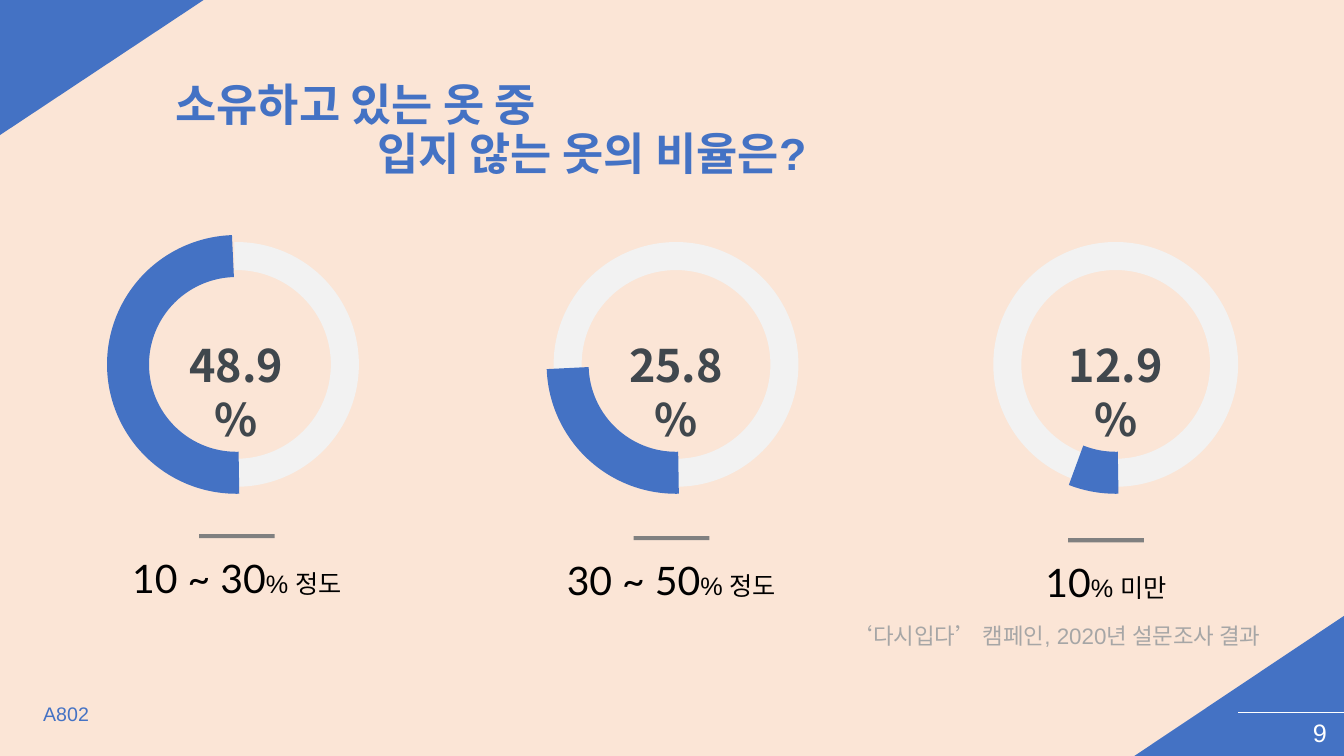
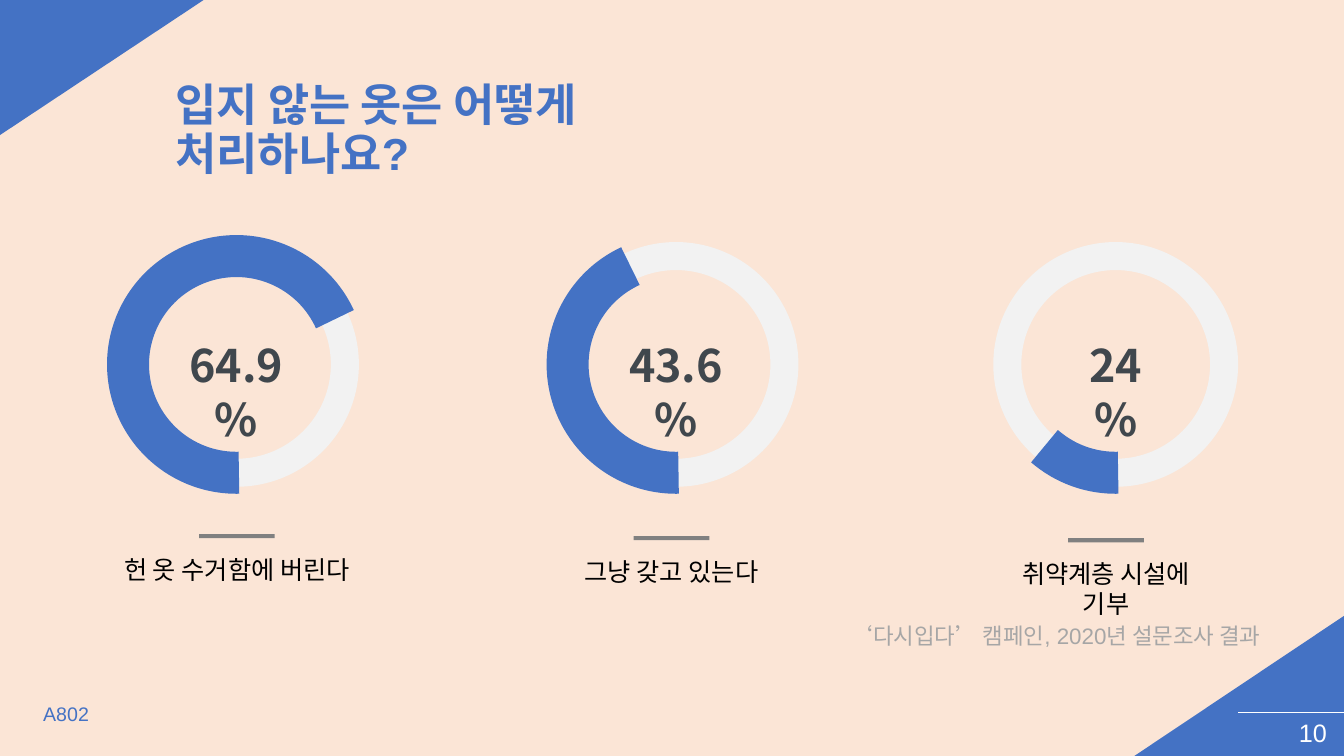
from lxml.etree import SubElement
from pptx import Presentation
from pptx.dml.color import RGBColor
from pptx.enum.shapes import MSO_CONNECTOR, MSO_SHAPE
from pptx.enum.text import MSO_ANCHOR, MSO_AUTO_SIZE, PP_ALIGN
from pptx.oxml.ns import qn
from pptx.util import Inches, Pt

WIDE, HIGH = 13.33, 7.5
BLUE, PEACH, TRACK = "4472C4", "FBE5D6", "F2F2F2"
DARK, GREY, PALE = "40474D", "808080", "A6A6A6"
BLACK, WHITE = "000000", "FFFFFF"
SANS, LATIN, KOREAN = "Arial", "Lato", "Noto Sans CJK KR"

SOURCE = "‘다시입다’ 캠페인, 2020년 설문조사 결과"
RING = 2.15
TOP = 2.54


def rgb(code):
    return RGBColor.from_string(code)


def write(frame, lines, size=18, font=SANS, color=BLACK, bold=False,
          align=PP_ALIGN.LEFT, spacing=None, indents=()):
    """Fill a frame; a line is a string or a list of (text, size, font) runs."""
    for i, line in enumerate(lines):
        para = frame.paragraphs[0] if i == 0 else frame.add_paragraph()
        para.alignment = align
        if spacing:
            para.line_spacing = spacing
        if i < len(indents):
            para._p.get_or_add_pPr().set("marL", str(Inches(indents[i])))
        runs = [(line, size, font)] if isinstance(line, str) else line
        for words, points, face in runs:
            run = para.add_run()
            run.text = words
            run.font.size = Pt(points)
            run.font.name = face
            run.font.bold = bold
            run.font.color.rgb = rgb(color)


class Deck:
    def __init__(self):
        self.prs = Presentation()
        self.prs.slide_width = Inches(WIDE)
        self.prs.slide_height = Inches(HIGH)
        back = self.prs.slide_master.background.fill
        back.solid()
        back.fore_color.rgb = rgb(PEACH)
        self.slide = None

    def page(self, number, title, indents=()):
        """Start a slide with its corners, footer and title."""
        self.slide = self.prs.slides.add_slide(self.prs.slide_layouts[5])
        self.corner((0, 0), (2.02, 0), (0, 1.34))
        self.corner((WIDE, HIGH), (11.25, HIGH), (WIDE, 6.11))
        self.rule(12.28, 7.07, WIDE)
        self.text(12.26, 7.07, 1, 0.4, [str(number)], color=WHITE,
                  align=PP_ALIGN.RIGHT)
        self.text(0.33, 6.91, 3.73, 0.34, ["A802"], size=14, color=BLUE)
        self.title(title, indents)

    def title(self, lines, indents):
        head = self.slide.shapes.title
        head.left, head.top = Inches(1.64), Inches(0.58)
        head.width, head.height = Inches(9.07), Inches(1.45)
        frame = head.text_frame
        frame.auto_size = MSO_AUTO_SIZE.NONE
        frame.vertical_anchor = MSO_ANCHOR.MIDDLE
        write(frame, lines, size=32, color=BLUE, bold=True, spacing=0.9,
              indents=indents)

    def text(self, left, top, width, height, lines, **style):
        box = self.slide.shapes.add_textbox(
            Inches(left), Inches(top), Inches(width), Inches(height))
        box.text_frame.word_wrap = True
        write(box.text_frame, lines, **style)

    def paint(self, shape, color):
        shape.shadow.inherit = False
        shape.fill.solid()
        shape.fill.fore_color.rgb = rgb(color)
        shape.line.fill.background()

    def corner(self, start, *points):
        path = self.slide.shapes.build_freeform(*map(Inches, start), scale=1.0)
        path.add_line_segments([tuple(map(Inches, p)) for p in points])
        self.paint(path.convert_to_shape(), BLUE)

    def bar(self, left, top, width, height):
        self.paint(self.slide.shapes.add_shape(
            MSO_SHAPE.RECTANGLE, Inches(left), Inches(top),
            Inches(width), Inches(height)), GREY)

    def rule(self, left, top, right):
        line = self.slide.shapes.add_connector(
            MSO_CONNECTOR.STRAIGHT, Inches(left), Inches(top),
            Inches(right), Inches(top))
        line.line.color.rgb = rgb(WHITE)
        line.line.width = Pt(0.5)
        SubElement(line._element.spPr, qn("a:effectLst"))

    def arc(self, left, start, end, color, weight, turn=0):
        """Draw a ring segment between two angles in degrees."""
        arc = self.slide.shapes.add_shape(
            MSO_SHAPE.ARC, Inches(left), Inches(TOP),
            Inches(RING), Inches(RING))
        arc.shadow.inherit = False
        arc.fill.background()
        # The preset counts in 60000ths of a degree, adjustments in 100000ths.
        arc.adjustments[0] = start * 0.6
        arc.adjustments[1] = end * 0.6
        arc.rotation = turn
        arc.line.color.rgb = rgb(color)
        arc.line.width = Pt(weight)

    def gauge(self, col, share, track, end, label):
        """Draw one column: ring, share, bar and label."""
        left = 1.27 + 4.36 * col
        self.arc(left, track, 359.11, TRACK, 20, turn=90)
        self.arc(left, 88.67, end, BLUE, 30)
        # Narrow enough that the percent sign falls on its own line.
        width = 1.49 if "." in share else 1.11
        self.text(left + (RING - width) / 2, 3.3, width, 0.64, [share],
                  size=32, font=KOREAN, color=DARK, bold=True,
                  align=PP_ALIGN.CENTER)
        mid, drop = 2.35 + 4.31 * col, 0.02 * col
        self.bar(mid - 0.375, 5.3 + drop, 0.75, 0.04)
        self.text(mid - 1.5, 5.45 + drop, 3, 0.57, label,
                  align=PP_ALIGN.CENTER)

    def source(self):
        self.text(8.34, 6.12, 4.51, 0.37, [SOURCE], size=16, color=PALE)


def span(figure, unit):
    return [[(figure, 28, LATIN), (unit, 18, SANS)]]


PAGES = [
    (9, ["소유하고 있는 옷 중", "입지 않는 옷의 비율은?"], (0, 2), [
        ("48.9%", 178.95, 268.17, span("10 ~ 30", "% 정도")),
        ("25.8%", 86.92, 178.06, span("30 ~ 50", "% 정도")),
        ("12.9%", 20.64, 111.4, span("10", "% 미만")),
    ]),
    (10, ["입지 않는 옷은 어떻게", "처리하나요?"], (), [
        ("64.9%", 178.95, 335.33, ["헌 옷 수거함에 버린다"]),
        ("43.6%", 86.92, 245.13, ["그냥 갖고 있는다"]),
        ("24%", 4.58, 131, ["취약계층 시설에", "기부"]),
    ]),
]


def main():
    deck = Deck()
    for number, title, indents, gauges in PAGES:
        deck.page(number, title, indents)
        for col, gauge in enumerate(gauges):
            deck.gauge(col, *gauge)
        deck.source()
    deck.prs.save("out.pptx")


if __name__ == "__main__":
    main()
